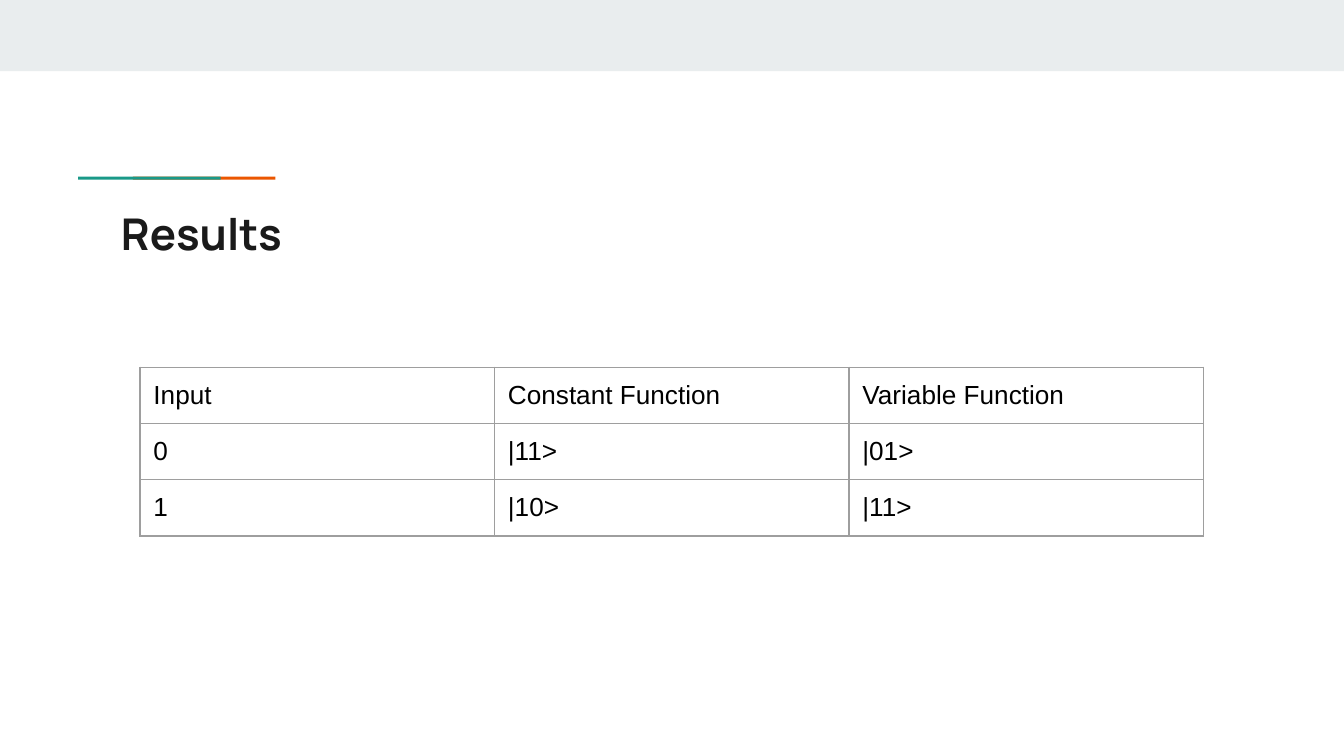
from dataclasses import dataclass

from lxml import etree
from pptx import Presentation
from pptx import util as u
from pptx.dml.color import RGBColor
from pptx.enum import shapes, text
from pptx.oxml import ns

BAND_GREY = RGBColor(0xE9, 0xED, 0xEE)
ORANGE = RGBColor(0xEB, 0x56, 0x00)
GREEN = RGBColor(0x1A, 0x99, 0x88)
INK = RGBColor(0x1A, 0x1A, 0x1A)
BLACK = RGBColor(0, 0, 0)
BORDER_GREY = RGBColor(0x9E, 0x9E, 0x9E)

INSET = u.Pt(7.2)
COLUMN_WIDTH = 189.9
ROW_HEIGHT = 30


@dataclass(frozen=True)
class Bar:
    left: float
    top: float
    width: float
    height: float
    color: RGBColor


BARS = [
    Bar(0, 0, 720, 38.2, BAND_GREY),
    Bar(71.2, 94.6, 76.4, 1.7, ORANGE),
    Bar(41.8, 94.6, 76.4, 1.7, GREEN),
]

RESULTS = [
    ("Input", "Constant Function", "Variable Function"),
    ("0", "|11>", "|01>"),
    ("1", "|10>", "|11>"),
]


def draw_bar(slide, bar: Bar) -> None:
    rect = slide.shapes.add_shape(
        shapes.MSO_SHAPE.RECTANGLE,
        u.Pt(bar.left), u.Pt(bar.top), u.Pt(bar.width), u.Pt(bar.height),
    )
    rect.shadow.inherit = False
    rect.fill.solid()
    rect.fill.fore_color.rgb = bar.color
    rect.line.fill.background()


def style_font(paragraph, name: str, size: float, color: RGBColor, bold: bool) -> None:
    for run in paragraph.runs:
        run.font.name = name
        run.font.size = u.Pt(size)
        run.font.color.rgb = color
        run.font.bold = bold


def set_insets(frame) -> None:
    frame.margin_left = frame.margin_right = INSET
    frame.margin_top = frame.margin_bottom = INSET


def draw_title(slide, wording: str) -> None:
    title = slide.shapes.title
    title.left, title.top = u.Pt(57.6), u.Pt(103.7)
    title.width, title.height = u.Pt(605.5), u.Pt(42.5)
    frame = title.text_frame
    frame.text = wording
    frame.word_wrap = True
    frame.auto_size = text.MSO_AUTO_SIZE.NONE
    frame.vertical_anchor = text.MSO_ANCHOR.TOP
    set_insets(frame)
    heading = frame.paragraphs[0]
    heading.alignment = text.PP_ALIGN.LEFT
    style_font(heading, "Manrope", 23.4, INK, True)


def set_borders(cell, color: RGBColor, width: float) -> None:
    properties = cell._tc.get_or_add_tcPr()
    for side in ("a:lnL", "a:lnR", "a:lnT", "a:lnB"):
        edge = etree.SubElement(properties, ns.qn(side), w=str(u.Pt(width)))
        fill = etree.SubElement(edge, ns.qn("a:solidFill"))
        etree.SubElement(fill, ns.qn("a:srgbClr"), val=str(color))


def draw_results(slide, rows: list[tuple[str, ...]]) -> None:
    column_count = len(rows[0])
    results = slide.shapes.add_table(
        len(rows), column_count, u.Pt(75), u.Pt(196.7),
        u.Pt(COLUMN_WIDTH * column_count), u.Pt(ROW_HEIGHT * len(rows)),
    ).table
    results.first_row = False
    results.horz_banding = False
    for column in results.columns:
        column.width = u.Pt(COLUMN_WIDTH)
    for row, values in zip(results.rows, rows):
        row.height = u.Pt(ROW_HEIGHT)
        for cell, value in zip(row.cells, values):
            cell.text_frame.text = value
            set_insets(cell)
            style_font(cell.text_frame.paragraphs[0], "Arial", 14, BLACK, False)
            set_borders(cell, BORDER_GREY, 0.75)
            cell.fill.background()


def main() -> None:
    deck = Presentation()
    deck.slide_width, deck.slide_height = u.Pt(720), u.Pt(405)
    slide = deck.slides.add_slide(deck.slide_layouts[5])
    for bar in BARS:
        draw_bar(slide, bar)
    draw_title(slide, "Results")
    draw_results(slide, RESULTS)
    deck.save("out.pptx")


if __name__ == "__main__":
    main()
